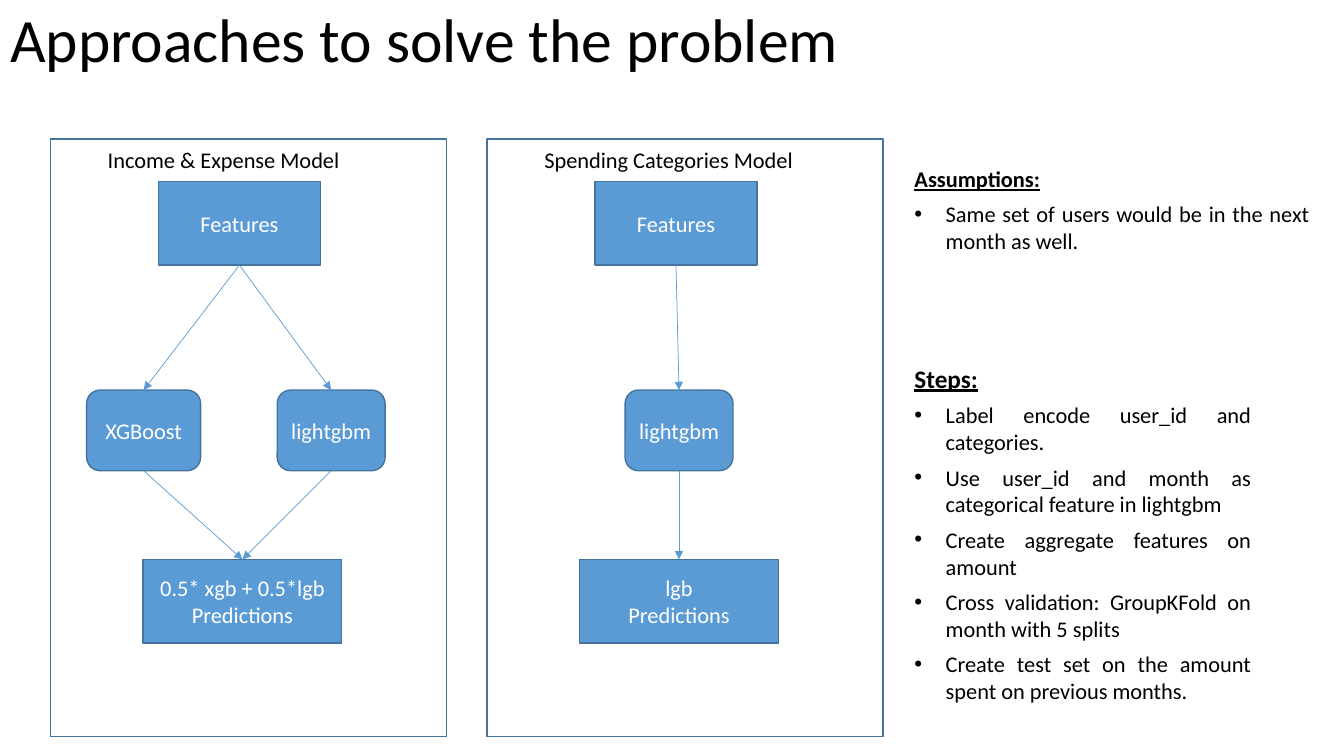
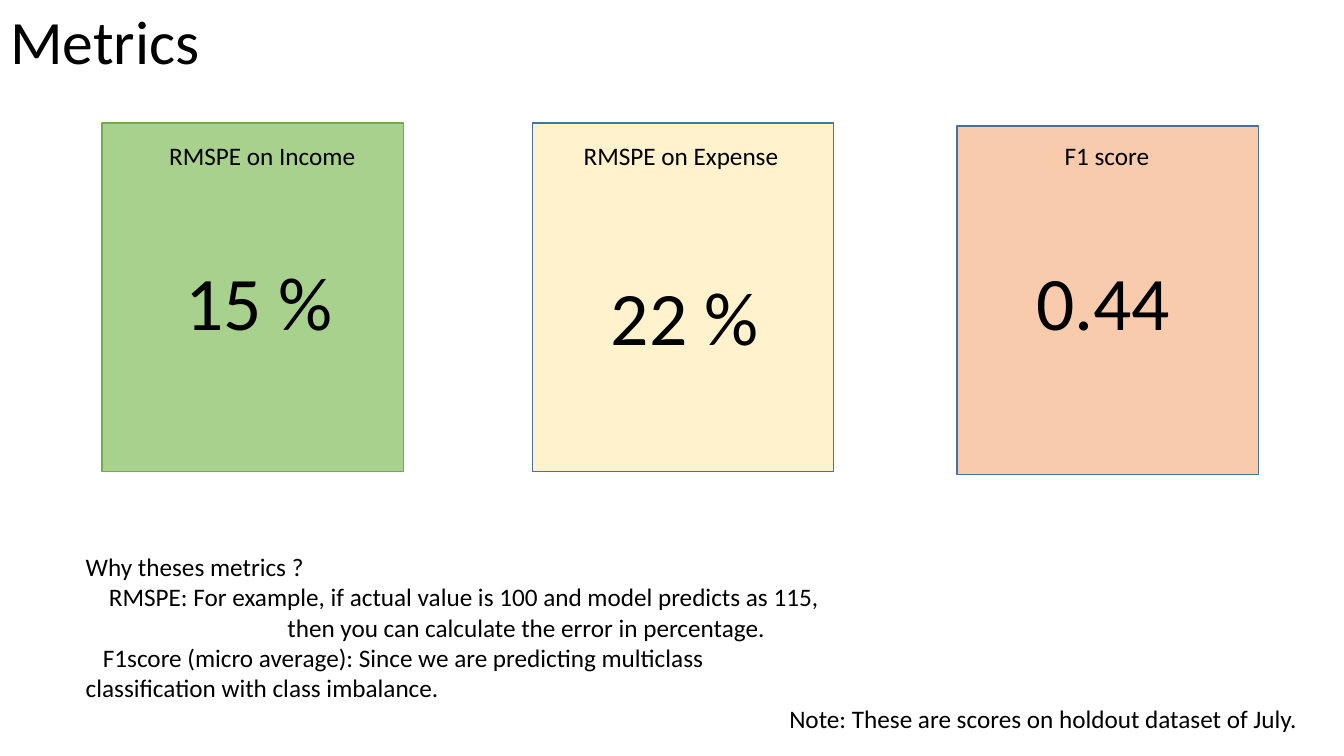
from lxml import etree
from pptx import Presentation
from pptx.dml.color import RGBColor
from pptx.enum import shapes, text
from pptx.oxml import ns
from pptx.util import Inches, Pt

COLORS = {
    "ink": "000000", "white": "FFFFFF", "blue": "5B9BD5", "outline": "43739E",
    "green": "A9D18E", "green_line": "70AD47", "cream": "FFF2CC", "peach": "F8CBAD",
}
FONT = "Calibri"
RECT = shapes.MSO_SHAPE.RECTANGLE
ROUNDED = shapes.MSO_SHAPE.ROUNDED_RECTANGLE
ALIGN = text.PP_ALIGN
TITLE_CONTENT, TWO_CONTENT = 1, 3  # layout positions in the template


def rgb(name):
    return RGBColor.from_string(COLORS[name])


# Shared text and shape helpers
def add_run(paragraph, words, size, color="ink", bold=False):
    run = paragraph.add_run()
    run.text = words
    run.font.name = FONT
    run.font.size = Pt(size)
    run.font.color.rgb = rgb(color)
    run.font.bold = bold
    run.font.underline = bold


def place(shape, left, top, width, height):
    shape.left, shape.top = Inches(left), Inches(top)
    shape.width, shape.height = Inches(width), Inches(height)


def next_paragraph(frame, first):
    return frame.paragraphs[0] if first else frame.add_paragraph()


def format_paragraph(paragraph, left=0, first_line=0, after=0, bullet=None):
    """Set indents in inches, spacing in points and the bullet sign."""
    paragraph.space_before, paragraph.space_after = Pt(0), Pt(after)
    props = paragraph._p.get_or_add_pPr()
    props.set("marL", str(Inches(left)))
    props.set("indent", str(Inches(first_line)))
    if bullet:
        etree.SubElement(props, ns.qn("a:buChar")).set("char", bullet)
    else:
        etree.SubElement(props, ns.qn("a:buNone"))


def body_frame(placeholder, box):
    place(placeholder, *box)
    frame = placeholder.text_frame
    frame.auto_size = text.MSO_AUTO_SIZE.NONE
    frame.vertical_anchor = text.MSO_ANCHOR.TOP
    return frame


def add_title(slide, words, width, height):
    place(slide.shapes.title, 0, 0, width, height)
    frame = slide.shapes.title.text_frame
    frame.auto_size = text.MSO_AUTO_SIZE.NONE
    frame.vertical_anchor = text.MSO_ANCHOR.MIDDLE
    heading = frame.paragraphs[0]
    heading.alignment = ALIGN.LEFT
    heading.line_spacing = 0.9
    add_run(heading, words, 44)


def add_label(slide, words, size, left, top, width, height):
    label = slide.shapes.add_textbox(*map(Inches, (left, top, width, height)))
    label.text_frame.word_wrap = True
    add_run(label.text_frame.paragraphs[0], words, size)


def add_box(slide, box, fill=None, line="outline", kind=RECT, lines=()):
    shape = slide.shapes.add_shape(kind, *map(Inches, box))
    shape.shadow.inherit = False
    if fill:
        shape.fill.solid()
        shape.fill.fore_color.rgb = rgb(fill)
    else:
        shape.fill.background()
    shape.line.color.rgb = rgb(line)
    shape.line.width = Pt(1)
    shape.text_frame.vertical_anchor = text.MSO_ANCHOR.MIDDLE
    for i, words in enumerate(lines):
        paragraph = next_paragraph(shape.text_frame, i == 0)
        paragraph.alignment = ALIGN.CENTER
        add_run(paragraph, words, 16, "white")
    return shape


def add_arrow(slide, upper, lower):
    """Join the bottom of one node to the top of the next."""
    arrow = slide.shapes.add_connector(shapes.MSO_CONNECTOR.STRAIGHT, 0, 0, 0, 0)
    arrow.begin_connect(upper, 2)
    arrow.end_connect(lower, 0)
    arrow.line.color.rgb = rgb("blue")
    arrow.line.width = Pt(0.5)
    etree.SubElement(arrow.line._get_or_add_ln(), ns.qn("a:tailEnd")).set("type", "triangle")
    etree.SubElement(arrow._element.spPr, ns.qn("a:effectLst"))


# Approaches slide
def add_model_panel(slide, left, top, caption, learners, result):
    """Draw features -> learners -> predictions inside an outlined panel."""
    add_box(slide, (left, top, 3.93, 5.93))
    add_label(slide, caption, 16, left + 0.47, top + 0.02, 3.18, 0.37)

    def node(x, y, width, height, lines, kind=RECT):
        return add_box(slide, (left + x, top + y, width, height), "blue",
                       kind=kind, lines=lines)

    features = node(1.07, 0.42, 1.61, 0.83, ["Features"])
    predictions = node(0.92, 4.17, 1.97, 0.83, [result, "Predictions"])
    for name, x, width in learners:
        learner = node(x, 2.49, width, 0.8, [name], ROUNDED)
        add_arrow(slide, features, learner)
        add_arrow(slide, learner, predictions)


def add_bullet_list(placeholder, box, heading, heading_size, items):
    frame = body_frame(placeholder, box)
    top_line = frame.paragraphs[0]
    format_paragraph(top_line, after=6)
    top_line.alignment = ALIGN.JUSTIFY
    add_run(top_line, heading, heading_size, bold=True)
    for item in items:
        entry = frame.add_paragraph()
        format_paragraph(entry, 0.31, -0.31, after=6, bullet="•")
        entry.alignment = ALIGN.JUSTIFY
        add_run(entry, item, 16)


def build_approaches(deck):
    slide = deck.slides.add_slide(deck.slide_layouts[TWO_CONTENT])
    add_title(slide, "Approaches to solve the problem", 11.5, 0.85)
    add_model_panel(slide, 0.5, 1.38, "Income & Expense Model",
                    [("XGBoost", 0.36, 1.13), ("lightgbm", 2.25, 1.07)],
                    "0.5* xgb + 0.5*lgb")
    add_model_panel(slide, 4.83, 1.38, "Spending Categories Model",
                    [("lightgbm", 1.37, 1.07)], "lgb")
    add_bullet_list(slide.placeholders[1], (8.97, 1.59, 4.12, 0.99), "Assumptions:", 16,
                    ["Same set of users would be in the next month as well."])
    add_bullet_list(slide.placeholders[2], (8.97, 3.55, 3.54, 3.85), "Steps:", 18, [
        "Label encode user_id and categories.",
        "Use user_id and month as categorical feature in lightgbm",
        "Create aggregate features on amount",
        "Cross validation: GroupKFold on month with 5 splits",
        "Create test set on the amount spent on previous months.",
    ])


# Metrics slide
def add_metric_card(slide, left, top, fill, line, label, label_at, value, value_at):
    """Draw a score card; label_at and value_at are offsets from its corner."""
    add_box(slide, (left, top, 2.99, 3.46), fill, line)
    for words, size, (x, y), width, height in (
            (label, 18, label_at, 2.4, 0.4), (value, 54, value_at, 2.01, 1.01)):
        add_label(slide, words, size, left + x, top + y, width, height)


def add_rationale(placeholder, box):
    frame = body_frame(placeholder, box)
    reasons = [
        ("Why theses metrics ?", 0, 0),
        ("RMSPE: For example, if actual value is 100 and model predicts as 115, "
         "then you can calculate the error in percentage.", 2, -1.77),
        ("F1score (micro average): Since we are predicting multiclass "
         "classification with class imbalance.", 0, 0.17),
    ]
    for i, (words, left, first_line) in enumerate(reasons):
        paragraph = next_paragraph(frame, i == 0)
        format_paragraph(paragraph, left, first_line)
        add_run(paragraph, words, 18)


def build_metrics(deck):
    slide = deck.slides.add_slide(deck.slide_layouts[TITLE_CONTENT])
    add_title(slide, "Metrics", 4.26, 0.89)
    cards = [
        (1.01, 1.22, "green", "green_line",
         "RMSPE on Income", (0.57, 0.12), "15 %", (0.73, 1.26)),
        (5.28, 1.22, "cream", "outline",
         "RMSPE on Expense", (0.41, 0.12), "22 %", (0.68, 1.41)),
        (9.49, 1.25, "peach", "outline",
         "F1 score", (0.97, 0.09), "0.44", (0.69, 1.23)),
    ]
    for card in cards:
        add_metric_card(slide, *card)
    add_rationale(slide.placeholders[1], (0.75, 5.42, 7.51, 1.62))
    add_label(slide, "Note: These are scores on holdout dataset of July.", 18,
              7.73, 6.93, 5.5, 0.4)


def main():
    deck = Presentation()
    deck.slide_width, deck.slide_height = Inches(13.33), Inches(7.5)
    build_approaches(deck)
    build_metrics(deck)
    deck.save("out.pptx")


if __name__ == "__main__":
    main()
